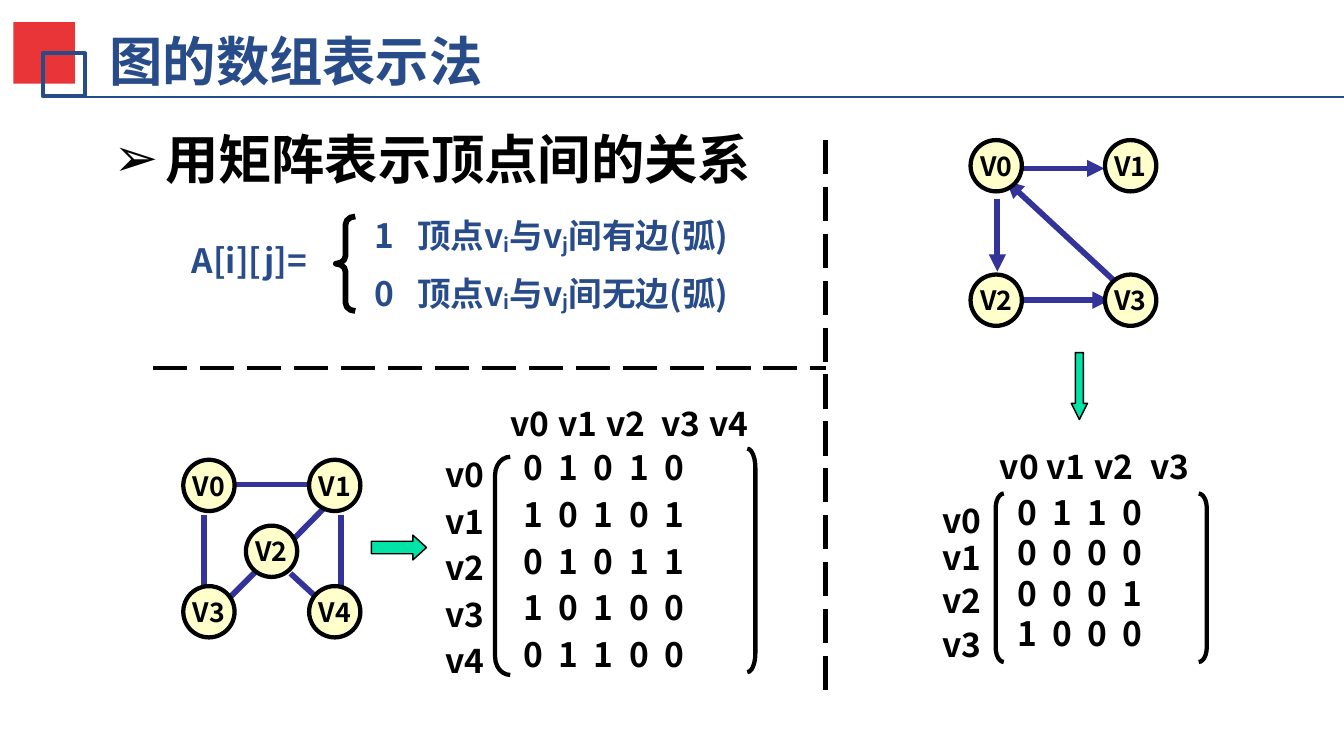
from pptx import Presentation
from pptx.dml.color import RGBColor
from pptx.enum.dml import MSO_LINE
from pptx.enum.shapes import MSO_CONNECTOR, MSO_SHAPE
from pptx.enum.text import MSO_ANCHOR, MSO_AUTO_SIZE, PP_ALIGN
from pptx.oxml.ns import qn
from pptx.util import Cm, Pt
from lxml import etree

LEFT, CENTER = PP_ALIGN.LEFT, PP_ALIGN.CENTER
TOP, MIDDLE = MSO_ANCHOR.TOP, MSO_ANCHOR.MIDDLE
NO_AUTOFIT = MSO_AUTO_SIZE.NONE
STRAIGHT = MSO_CONNECTOR.STRAIGHT
LONG_DASH = MSO_LINE.LONG_DASH
RECTANGLE, OVAL = MSO_SHAPE.RECTANGLE, MSO_SHAPE.OVAL
RIGHT_ARROW, DOWN_ARROW = MSO_SHAPE.RIGHT_ARROW, MSO_SHAPE.DOWN_ARROW
LEFT_BRACE = MSO_SHAPE.LEFT_BRACE
LEFT_BRACKET, RIGHT_BRACKET = MSO_SHAPE.LEFT_BRACKET, MSO_SHAPE.RIGHT_BRACKET

BLACK = RGBColor(0x00, 0x00, 0x00)
BLUE = RGBColor(0x28, 0x4C, 0x8A)
RED = RGBColor(0xE9, 0x35, 0x38)
GREEN = RGBColor(0x00, 0xE4, 0xA8)
CREAM = RGBColor(0xFF, 0xFF, 0xCC)
EDGE = RGBColor(0x33, 0x33, 0x99)
SANS = "Noto Sans CJK SC"

deck = Presentation()
deck.slide_width, deck.slide_height = Cm(24.89), Cm(14)
slide = deck.slides.add_slide(deck.slide_layouts[1])


def write(frame, lines, size, color, font=SANS, align=LEFT, before=None, tabs=()):
    for number, line in enumerate(lines):
        paragraph = frame.add_paragraph() if number else frame.paragraphs[0]
        for position, part in enumerate(line.split("_")):
            run = paragraph.add_run()
            run.text = part
            if position % 2:
                run._r.get_or_add_rPr().set("baseline", "-10000")
        paragraph.alignment = align
        paragraph.space_before = before
        paragraph.font.size = Pt(size)
        paragraph.font.bold = True
        paragraph.font.name = font
        paragraph.font.color.rgb = color
        defaults = paragraph._p.pPr.find(qn("a:defRPr"))
        etree.SubElement(defaults, qn("a:ea"), typeface=SANS)
        if tabs:
            stops = etree.Element(qn("a:tabLst"))
            for stop in tabs:
                etree.SubElement(stops, qn("a:tab"), pos=str(Cm(stop)), algn="l")
            defaults.addprevious(stops)


def text_box(left, top, width, height):
    box = slide.shapes.add_textbox(Cm(left), Cm(top), Cm(width), Cm(height))
    box.text_frame.word_wrap = True
    return box.text_frame


title, body = slide.shapes.title, slide.placeholders[1]
title.left, title.top, title.width, title.height = Cm(1.85), Cm(0.41), Cm(17.55), Cm(1.4)
title.text_frame.margin_left = Cm(0.18)
title.text_frame.vertical_anchor = MIDDLE
title.text_frame.auto_size = NO_AUTOFIT
write(title.text_frame, ["图的数组表示法"], 28, BLUE, "Times New Roman")

body.left, body.top, body.width, body.height = Cm(1.85), Cm(2.21), Cm(17.88), Cm(2)
body.text_frame.auto_size = NO_AUTOFIT
write(body.text_frame, ["用矩阵表示顶点间的关系"], 28, BLACK, "Arial")
bullet = etree.Element(qn("a:buChar"), char="➢")
body.text_frame.paragraphs[0]._p.pPr.find(qn("a:defRPr")).addprevious(bullet)

write(text_box(3.3, 4.32, 3.07, 1.02), ["A[i][j]="], 17.6, BLUE)
cases = ["1\t顶点v_i_与v_j_间有边(弧)", "0\t顶点v_i_与v_j_间无边(弧)"]
write(text_box(6.68, 3.86, 8.31, 2.13), cases, 17.6, BLUE, before=Pt(8.8), tabs=[0.8])

undirected_edges = [
    (3.78, 9.53, 3.78, 10.87), (4.34, 8.97, 5.87, 8.97), (6.32, 9.53, 6.32, 10.87),
    (4.78, 10.54, 4.22, 11.1), (5.99, 9.42, 5.44, 9.98), (5.38, 10.62, 5.87, 11.07),
]
directed_edges = [
    (18.47, 3.68, 18.47, 5.03), (18.92, 5.56, 20.55, 5.56),
    (18.92, 3.12, 20.45, 3.12), (20.83, 5.38, 18.64, 3.35),
]
dividers = [(15.29, 2.59, 15.29, 12.85), (2.84, 6.81, 15.29, 6.81)]
line_styles = [
    ([(0.97, 1.8, 24.89, 1.8)], BLUE, 0.75, None, False),
    (dividers, BLACK, 2.25, LONG_DASH, False),
    (undirected_edges, EDGE, 3, None, False),
    (directed_edges, EDGE, 3, None, True),
]
for ends, color, weight, dash, arrow in line_styles:
    for end in ends:
        line = slide.shapes.add_connector(STRAIGHT, *[Cm(value) for value in end])
        line.line.color.rgb = color
        line.line.width = Pt(weight)
        if dash:
            line.line.dash_style = dash
        if arrow:
            etree.SubElement(line.line._get_or_add_ln(), qn("a:tailEnd"), type="triangle")
        etree.SubElement(line._element.spPr, qn("a:effectLst"))

figures = [
    (RECTANGLE, 0.25, 0.41, 1.14, 1.14, (), RED, None, 0, ""),
    (RECTANGLE, 0.79, 0.99, 0.79, 0.79, (), None, BLUE, 2, ""),
    (LEFT_BRACE, 6.22, 4.01, 0.36, 1.75, (0.41, 0.5), None, BLACK, 3, ""),
    (RIGHT_ARROW, 6.88, 9.91, 1.02, 0.46, (0.5, 0.55), GREEN, BLACK, 0.75, ""),
    (DOWN_ARROW, 19.84, 6.53, 0.3, 1.24, (0.5, 1), GREEN, BLACK, 0.75, ""),
    (LEFT_BRACKET, 9.17, 8.46, 0.28, 4.04, (1.18,), None, BLACK, 2.25, ""),
    (RIGHT_BRACKET, 13.84, 8.31, 0.15, 4.14, (2.35,), None, BLACK, 2.25, ""),
    (LEFT_BRACKET, 18.44, 9.14, 0.15, 3.12, (1.82,), None, BLACK, 2.25, ""),
    (RIGHT_BRACKET, 22.2, 9.14, 0.15, 3.12, (1.82,), None, BLACK, 2.25, ""),
]
undirected_nodes = [(3.87, 8.99), (6.2, 8.99), (5.03, 10.21), (3.87, 11.33), (6.2, 11.33)]
directed_nodes = [(18.45, 3.07), (20.94, 3.07), (18.45, 5.56), (20.94, 5.56)]
NODE = 0.95
for nodes in (undirected_nodes, directed_nodes):
    for number, (x, y) in enumerate(nodes):
        figures.append((OVAL, x - NODE / 2, y - NODE / 2, NODE, NODE, (),
                        CREAM, BLACK, 2.25, f"V{number}"))

for kind, left, top, width, height, adjustments, fill, outline, weight, label in figures:
    figure = slide.shapes.add_shape(kind, Cm(left), Cm(top), Cm(width), Cm(height))
    figure.shadow.inherit = False
    for index, value in enumerate(adjustments):
        figure.adjustments[index] = value
    if fill is None:
        figure.fill.background()
    else:
        figure.fill.solid()
        figure.fill.fore_color.rgb = fill
    if outline is None:
        figure.line.fill.background()
    else:
        figure.line.color.rgb = outline
        figure.line.width = Pt(weight)
    if label:
        frame = figure.text_frame
        frame.margin_left = frame.margin_right = frame.margin_top = frame.margin_bottom = 0
        frame.vertical_anchor = MIDDLE
        frame.word_wrap = False
        write(frame, [label], 14, BLACK, align=CENTER)

matrices = [
    (["01010", "10101", "01011", "10100", "01100"], (9.45, 8.15, 4.65, 4.62), Pt(3.5),
     8.17, [8.24 + 0.86 * row for row in range(5)],
     7.29, [9.37, 10.26, 11.15, 12.17, 13.06]),
    (["0110", "0000", "0001", "1000"], (18.59, 8.99, 3.73, 3.28), Pt(0),
     17.37, [9.09, 9.78, 10.57, 11.38],
     8.08, [18.44, 19.3, 20.19, 21.23]),
]
for rows, area, before, row_left, row_tops, column_top, column_lefts in matrices:
    tabs = [0.65 * column for column in range(1, len(rows))]
    write(text_box(*area), ["\t".join(row) for row in rows], 17.6, BLACK,
          before=before, tabs=tabs)
    row_places = [(row_left, top) for top in row_tops]
    column_places = [(left, column_top) for left in column_lefts]
    for places in (row_places, column_places):
        for number, (left, top) in enumerate(places):
            frame = text_box(left, top, 0.88, 0.91)
            frame.margin_left = frame.margin_right = 0
            frame.margin_top = frame.margin_bottom = Cm(0.1)
            frame.vertical_anchor = TOP
            write(frame, [f"v{number}"], 17.6, BLACK, align=CENTER)
            frame.paragraphs[0].line_spacing = 1.1

deck.save("out.pptx")
